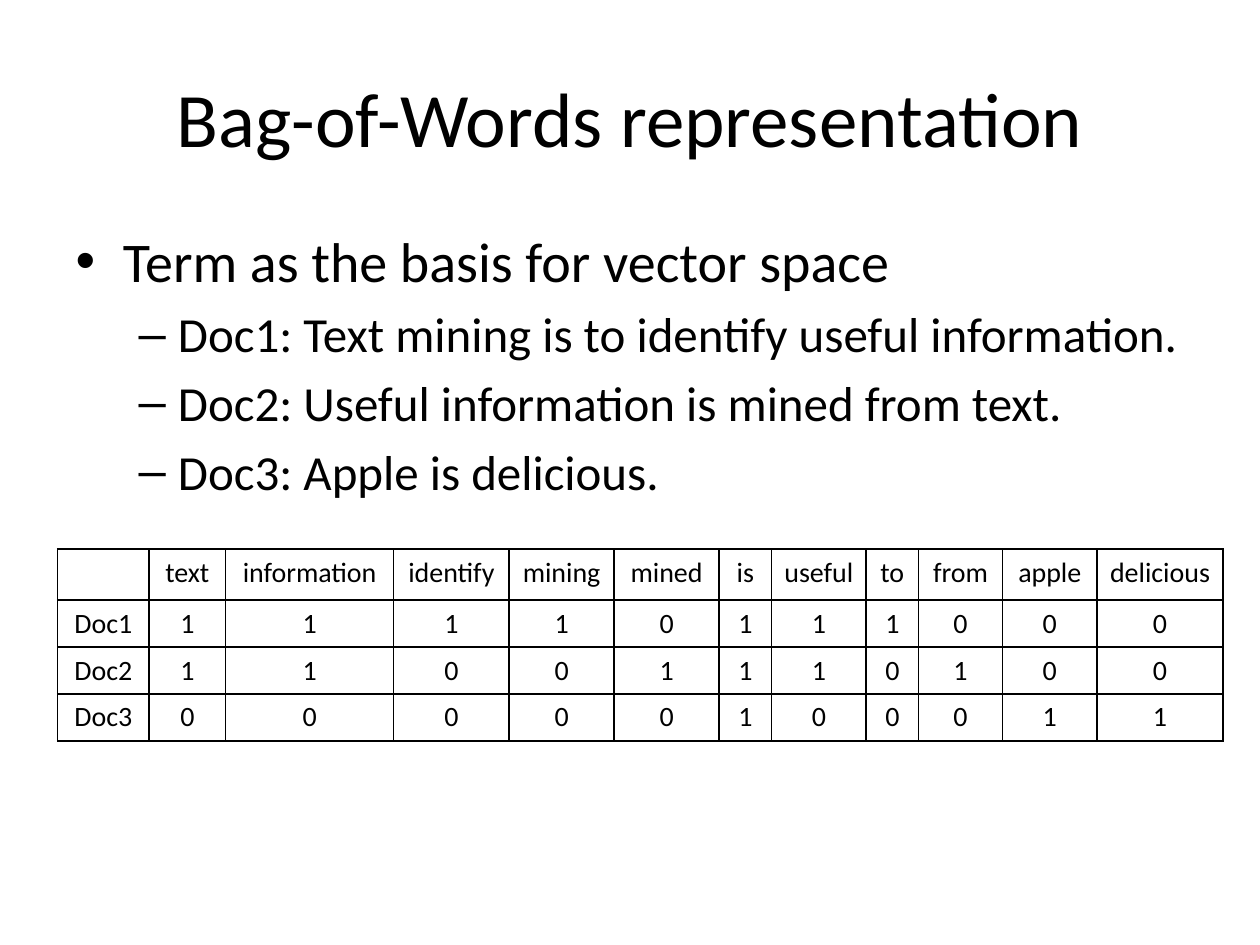
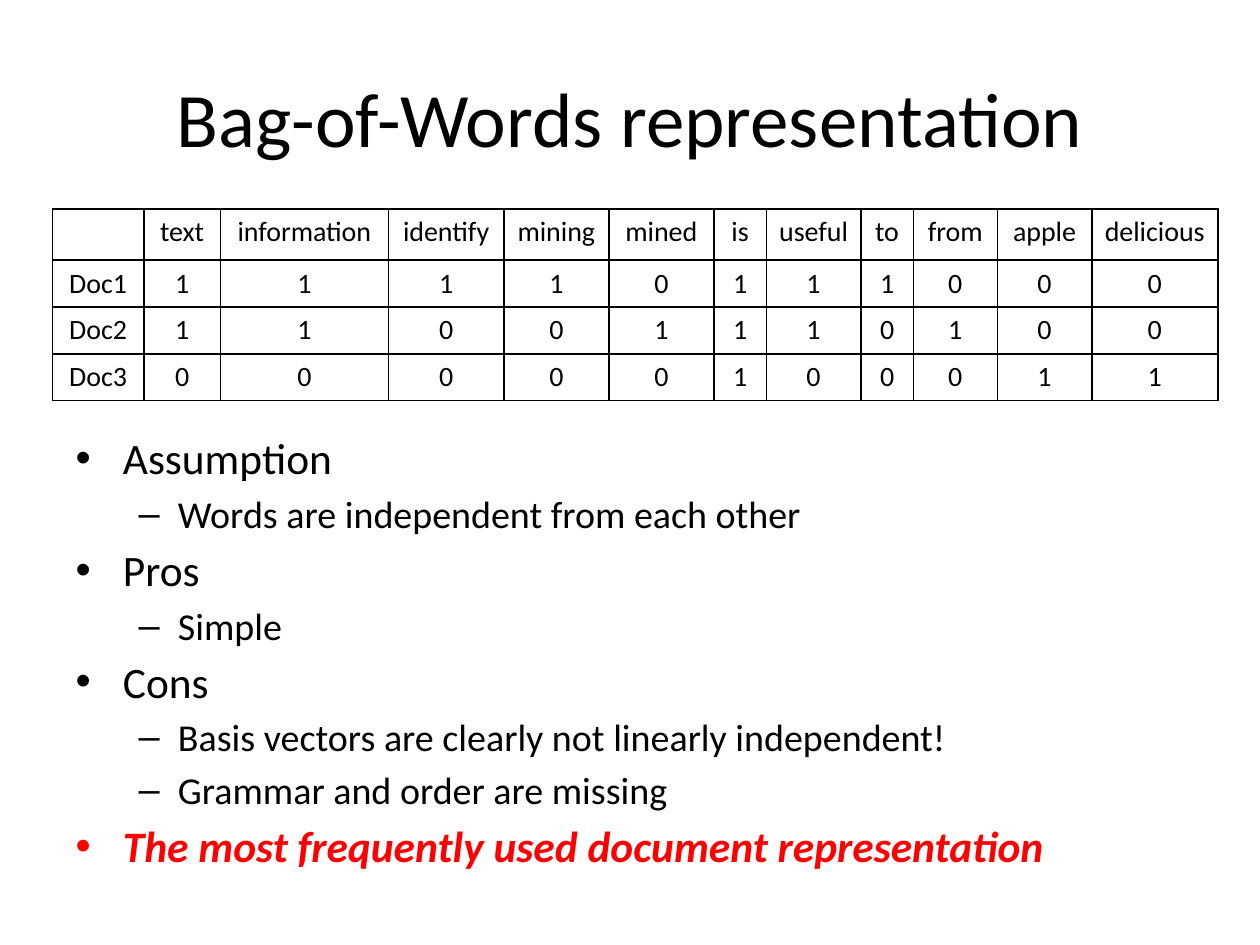
from lxml import etree
from pptx import Presentation
from pptx.dml.color import RGBColor
from pptx.enum.text import MSO_ANCHOR, MSO_AUTO_SIZE, PP_ALIGN
from pptx.oxml.ns import qn
from pptx.util import Inches, Pt

CENTER = PP_ALIGN.CENTER
MIDDLE = MSO_ANCHOR.MIDDLE
NO_AUTOFIT = MSO_AUTO_SIZE.NONE

COLORS = {"text": "000000", "highlight": "FF0000"}
FONT = "Calibri"
TITLE = "Bag-of-Words representation"

presentation = Presentation()
presentation.slide_width = Inches(10)
presentation.slide_height = Inches(7.5)
UNIT = presentation.slide_width / 120
MARGIN, CONTENT_WIDTH = 6, 108

TERM_COLUMNS = {
    "": 8.7, "text": 7.3, "information": 16, "identify": 11, "mining": 10, "mined": 10,
    "is": 5, "useful": 9, "to": 5, "from": 8, "apple": 9, "delicious": 12,
}
HEADER_ROW, DOCUMENT_ROW = 4.8, 4.45
DOCUMENT_VECTORS = {"Doc1": "11110111000", "Doc2": "11001110100", "Doc3": "00000100011"}
TABLE_ROWS = [list(TERM_COLUMNS)] + [[name, *vector] for name, vector in DOCUMENT_VECTORS.items()]
ROW_HEIGHTS = [HEADER_ROW] + [DOCUMENT_ROW] * len(DOCUMENT_VECTORS)

SLIDES = [
    {
        "body": (21, 59.4), "table": (5.5, 52.3), "sizes": (32, 28), "space_before": None,
        "bullets": [
            (0, "Term as the basis for vector space", "text"),
            (1, "Doc1: Text mining is to identify useful information.", "text"),
            (1, "Doc2: Useful information is mined from text.", "text"),
            (1, "Doc3: Apple is delicious.", "text"),
        ],
    },
    {
        "body": (40.5, 40.5), "table": (5, 19.9), "sizes": (24.8, 21.7), "space_before": Pt(4),
        "bullets": [
            (0, "Assumption", "text"),
            (1, "Words are independent from each other", "text"),
            (0, "Pros", "text"),
            (1, "Simple", "text"),
            (0, "Cons", "text"),
            (1, "Basis vectors are clearly not linearly independent!", "text"),
            (1, "Grammar and order are missing", "text"),
            (0, "The most frequently used document representation", "highlight"),
        ],
    },
]


def place(shape, left, top, width, height):
    shape.left, shape.top = round(left * UNIT), round(top * UNIT)
    shape.width, shape.height = round(width * UNIT), round(height * UNIT)


def format_runs(paragraph, size, color="text"):
    for run in paragraph.runs:
        run.font.name = FONT
        run.font.size = Pt(size)
        run.font.color.rgb = RGBColor.from_string(COLORS[color])
        if color == "highlight":
            run.font.bold = run.font.italic = True


for content in SLIDES:
    slide = presentation.slides.add_slide(presentation.slide_layouts[1])

    title = slide.shapes.title
    place(title, MARGIN, 3.6, CONTENT_WIDTH, 15)
    title.text_frame.text = TITLE
    title.text_frame.vertical_anchor = MIDDLE
    title.text_frame.paragraphs[0].alignment = CENTER
    format_runs(title.text_frame.paragraphs[0], 44)

    body = slide.placeholders[1]
    body_top, body_height = content["body"]
    place(body, MARGIN, body_top, CONTENT_WIDTH, body_height)
    body.text_frame.text = "\n".join(text for level, text, color in content["bullets"])
    body.text_frame.auto_size = NO_AUTOFIT
    for paragraph, (level, text, color) in zip(body.text_frame.paragraphs, content["bullets"]):
        paragraph.level = level
        if content["space_before"] is not None:
            paragraph.space_before = content["space_before"]
        format_runs(paragraph, content["sizes"][level], color)

    table_left, table_top = content["table"]
    table_shape = slide.shapes.add_table(len(TABLE_ROWS), len(TERM_COLUMNS), 0, 0, 0, 0)
    place(table_shape, table_left, table_top, sum(TERM_COLUMNS.values()), sum(ROW_HEIGHTS))
    table = table_shape.table
    table.first_row = table.horz_banding = False
    for column, width in zip(table.columns, TERM_COLUMNS.values()):
        column.width = round(width * UNIT)
    for row, height, values in zip(table.rows, ROW_HEIGHTS, TABLE_ROWS):
        row.height = round(height * UNIT)
        for cell, value in zip(row.cells, values):
            cell.text_frame.text = value
            cell.text_frame.paragraphs[0].alignment = CENTER
            format_runs(cell.text_frame.paragraphs[0], 16)
            properties = cell._tc.get_or_add_tcPr()
            for side in ("lnL", "lnR", "lnT", "lnB"):
                border = etree.SubElement(properties, qn(f"a:{side}"), w=str(Pt(1)))
                fill = etree.SubElement(border, qn("a:solidFill"))
                etree.SubElement(fill, qn("a:srgbClr"), val=COLORS["text"])
            cell.fill.background()

presentation.save("out.pptx")
